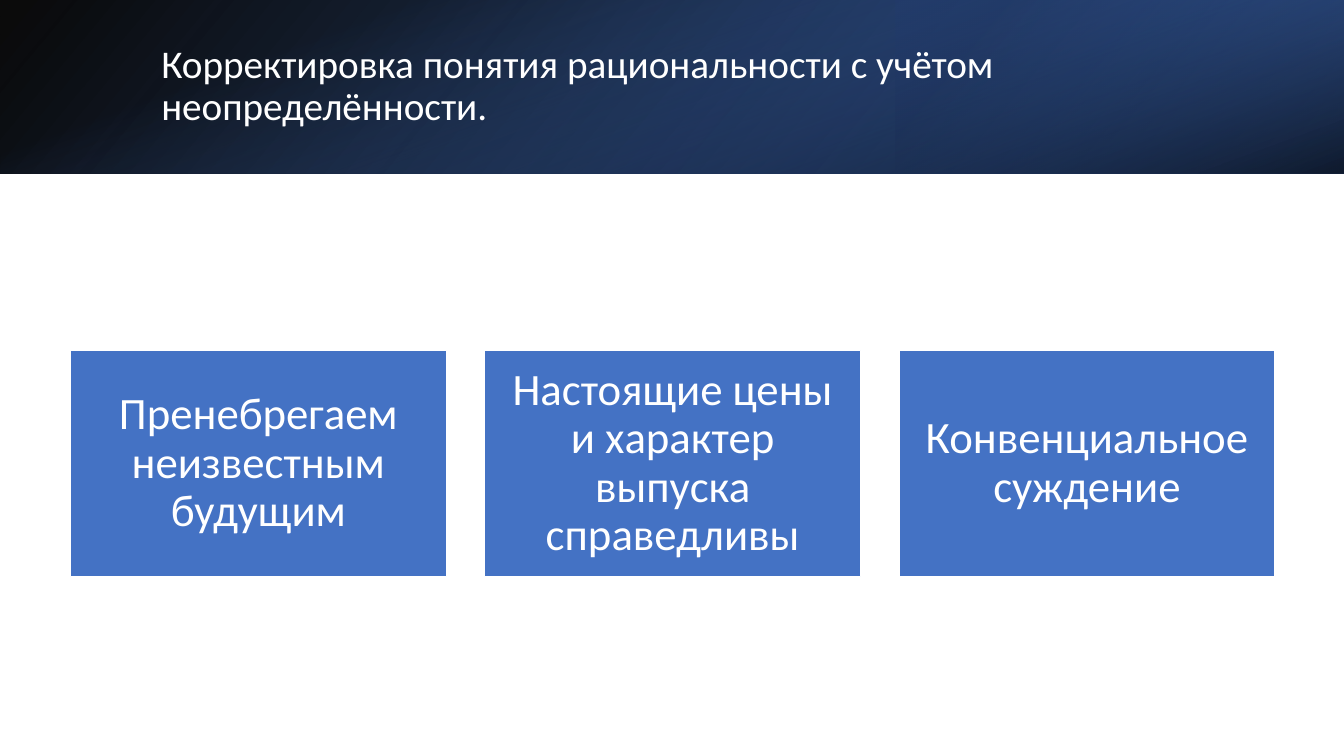
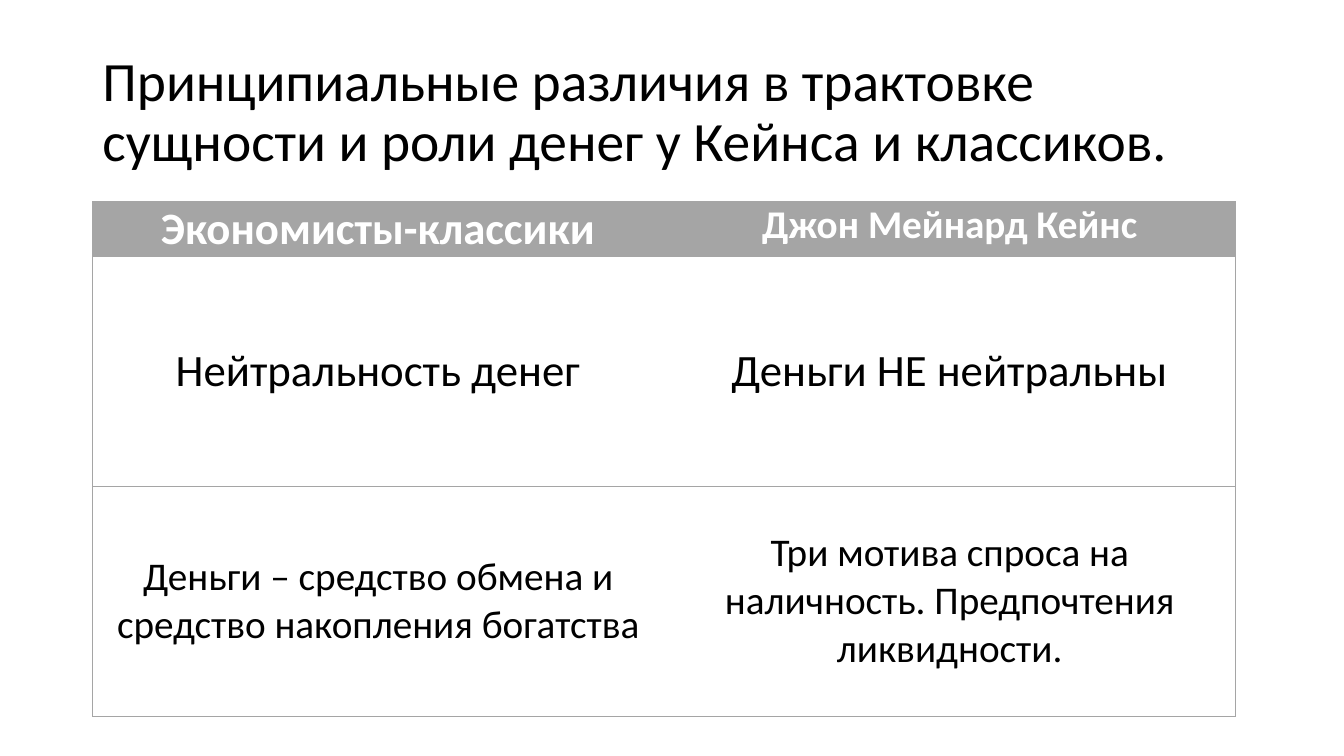
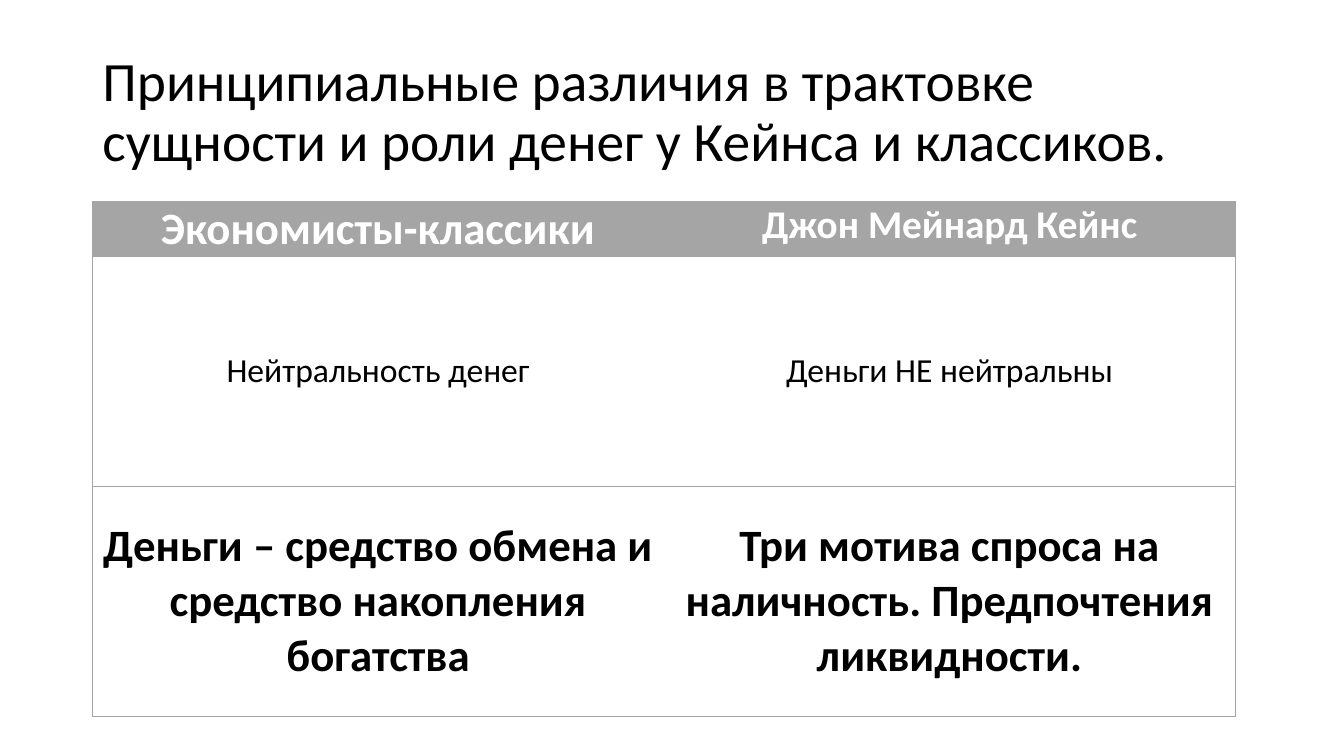
from lxml.etree import SubElement
from pptx import Presentation
from pptx.dml.color import RGBColor
from pptx.enum.shapes import MSO_SHAPE
from pptx.enum.text import MSO_ANCHOR, MSO_AUTO_SIZE, PP_ALIGN
from pptx.oxml import parse_xml
from pptx.oxml.ns import nsdecls, qn
from pptx.util import Inches, Pt

WHITE = RGBColor(0xFF, 0xFF, 0xFF)
BLACK = RGBColor(0x00, 0x00, 0x00)
BLUE = RGBColor(0x44, 0x72, 0xC4)
DEEP = RGBColor(0x2F, 0x55, 0x97)
NAVY = RGBColor(0x20, 0x38, 0x64)
GREY = RGBColor(0xA5, 0xA5, 0xA5)

COLS, ROWS = 160, 90
CELL = Inches(1) / 12
BAND = 20.64
PLAIN = "{2D5ABB26-0587-4C30-8999-92F81FD0307C}"


def size(n):
    return round(n * CELL)


def apply(item, style):
    for name, value in style.items():
        setattr(item, name, value)


class Deck:
    """Holds the shared style and the current slide on a 160 by 90 grid."""

    font = {"name": "Calibri"}
    frame = {"word_wrap": True, "auto_size": MSO_AUTO_SIZE.NONE,
             "vertical_anchor": MSO_ANCHOR.MIDDLE}
    head = {"alignment": PP_ALIGN.LEFT, "line_spacing": 0.9}
    label = {"alignment": PP_ALIGN.CENTER, "line_spacing": 0.9}
    inset = ("margin_left", "margin_right", "margin_top", "margin_bottom")

    def __init__(self):
        self.file = Presentation()
        apply(self.file, {"slide_width": size(COLS), "slide_height": size(ROWS)})

    def page(self):
        self.slide = self.file.slides.add_slide(self.file.slide_layouts[5])
        self.shapes = self.slide.shapes

    def words(self, frame, text, points, color, para, bold=False):
        frame.text = text
        line = frame.paragraphs[0]
        apply(line, para)
        font = line.runs[0].font
        apply(font, {**self.font, "size": Pt(points), "bold": bold})
        font.color.rgb = color

    def title(self, text, spot, points, color=BLACK):
        item = self.shapes.title
        apply(item, dict(zip(("left", "top", "width", "height"), map(size, spot))))
        apply(item.text_frame, self.frame)
        self.words(item.text_frame, text, points, color, self.head)
        item._element.getparent().append(item._element)

    def rect(self, spot):
        item = self.shapes.add_shape(MSO_SHAPE.RECTANGLE, *map(size, spot))
        item.shadow.inherit = False
        return item

    def band(self, spot, stops, angle, turn=0, flip=False):
        item = self.rect(spot)
        item.rotation = turn
        item.line.fill.background()
        item.fill.gradient()
        item.fill.gradient_angle = 360 - angle
        for stop, (place, color, _) in zip(item.fill.gradient_stops, stops):
            stop.position = place / 100
            stop.color.rgb = color
        props = item._element.spPr
        for tone, (_, _, alpha) in zip(props.iter(qn("a:srgbClr")), stops):
            SubElement(tone, qn("a:alpha"), val=str(alpha * 1000))
        if flip:
            props.find(qn("a:xfrm")).set("flipH", "1")

    def box(self, text, spot):
        item = self.rect(spot)
        item.fill.solid()
        item.fill.fore_color.rgb = BLUE
        item.line.color.rgb = WHITE
        item.line.width = Pt(1)
        margin = dict.fromkeys(self.inset, Inches(0.13))
        apply(item.text_frame, {**self.frame, **margin})
        self.words(item.text_frame, text, 32, WHITE, self.label)

    def edge(self, cell, sides):
        props = cell._tc.get_or_add_tcPr()
        for i, side in enumerate(sides):
            props.insert(i, parse_xml(
                f'<a:ln{side} {nsdecls("a")} w="{Pt(0.5)}"><a:solidFill>'
                f'<a:srgbClr val="{GREY}"/></a:solidFill></a:ln{side}>'))

    def table(self, rows, spot, tall):
        grid = self.shapes.add_table(len(rows), 2, *map(size, spot)).table
        grid.horz_banding = False
        grid._tbl.tblPr.find(qn("a:tableStyleId")).text = PLAIN
        for r, (texts, points, bold) in enumerate(rows):
            grid.rows[r].height = size(tall[r])
            for c, text in enumerate(texts):
                cell = grid.cell(r, c)
                margin = dict(zip(self.inset, map(Inches, (0.06, 0.06, 0, 0))))
                anchor = MSO_ANCHOR.MIDDLE if r else MSO_ANCHOR.TOP
                apply(cell, {**margin, "vertical_anchor": anchor})
                if r:
                    cell.fill.background()
                else:
                    cell.fill.solid()
                    cell.fill.fore_color.rgb = GREY
                self.edge(cell, "RTB" if c else "LTB")
                self.words(cell.text_frame, text, points[c], BLACK if r else WHITE,
                           {"alignment": PP_ALIGN.CENTER}, bold)


def main():
    deck = Deck()

    deck.page()
    deck.band((0, 0, COLS, BAND), [(0, BLACK, 96), (100, DEEP, 100)], 140, flip=True)
    deck.band((COLS * 2 / 3, 0, COLS / 3, BAND),
              [(19, NAVY, 68), (100, BLUE, 79)], 320, 180, True)
    shift = (COLS - BAND) / 2
    deck.band((shift, -shift, BAND, COLS), [(23, BLUE, 0), (99, BLACK, 74)], 340, 90)
    deck.title("Корректировка понятия рациональности с учётом неопределённости.",
               (18, 4.56, 131.76, 11.52), 28, WHITE)
    wide, gap = 44.76, 4.56
    for i, text in enumerate(("Пренебрегаем неизвестным будущим",
                              "Настоящие цены и характер выпуска справедливы",
                              "Конвенциальное суждение")):
        deck.box(text, (8.4 + i * (wide + gap), 41.76, wide, 26.88))

    names = ("Экономисты-классики", "Джон Мейнард Кейнс")
    views = ("Нейтральность денег", "Деньги НЕ нейтральны")
    roles = ("Деньги – средство обмена и средство накопления богатства",
             "Три мотива спроса на наличность. Предпочтения ликвидности.")
    for view, role, bold in ((32, 28, False), (24, 32, True)):
        deck.page()
        deck.title("Принципиальные различия в трактовке сущности и роли денег "
                   "у Кейнса и классиков.", (11, 4.8, 138, 17.4), 39.6)
        deck.table([(names, (32, 28), True), (views, (view, view), False),
                    (roles, (role, role), bold)],
                   (11, 24, 136.08, 61.2), (6.5, 27.36, 27.36))

    deck.file.save("out.pptx")


if __name__ == "__main__":
    main()
